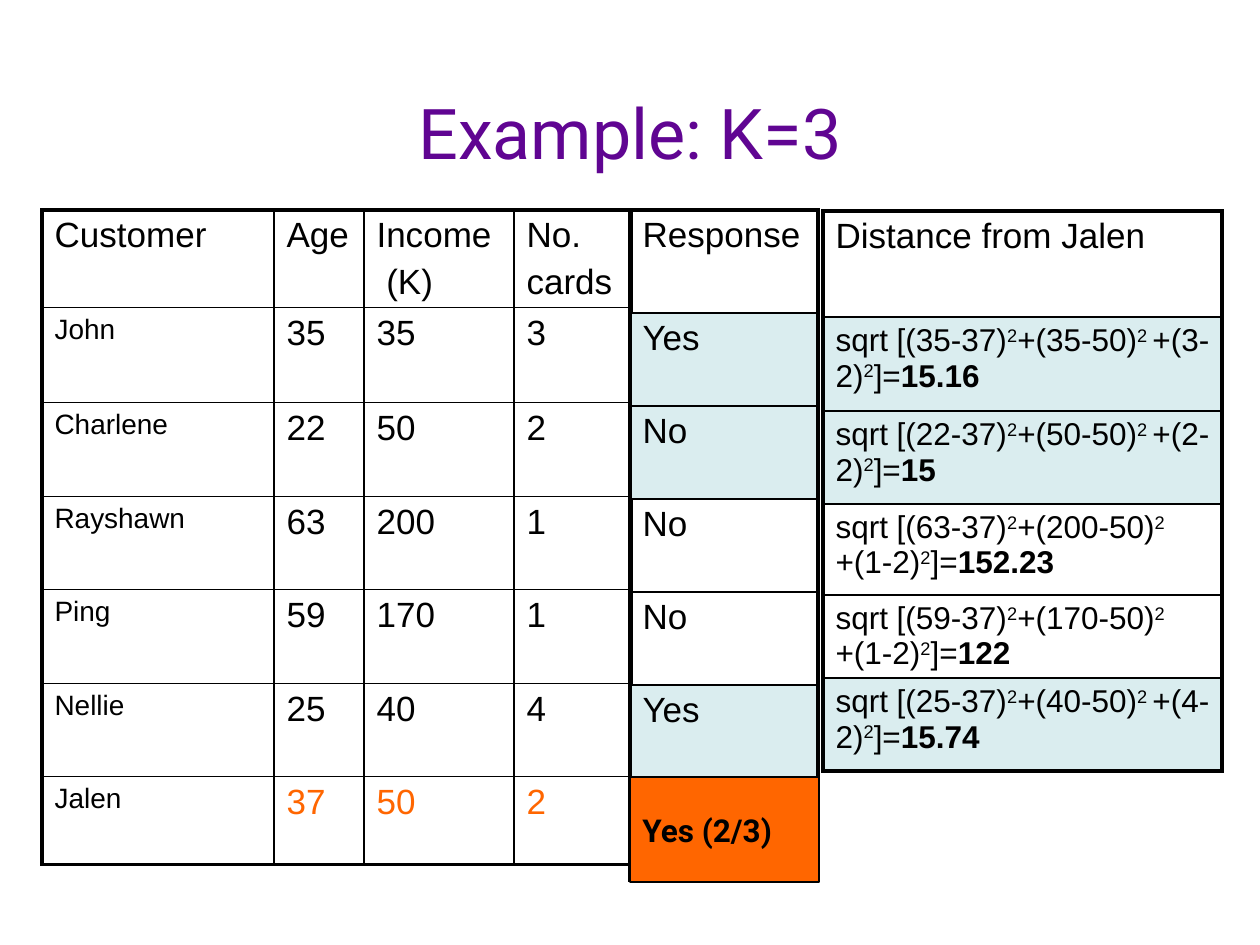
from pptx import Presentation
from pptx.dml.color import RGBColor
from pptx.enum.shapes import MSO_SHAPE as Shape
from pptx.enum.text import MSO_ANCHOR as Anchor, PP_ALIGN as Align
from pptx.oxml import parse_xml
from pptx.oxml.ns import nsdecls
from pptx.util import Emu, Pt

PX = 914400 // 126
BLACK = RGBColor(0x00, 0x00, 0x00)
PURPLE = RGBColor(0x60, 0x05, 0x92)
ORANGE = RGBColor(0xFF, 0x66, 0x00)
PALE_BLUE = RGBColor(0xDA, 0xED, 0xEF)
OUTER, INNER = 2.25, 1


def px(*lengths):
    return [Emu(n * PX) for n in lengths]


class SlideBuilder:
    """Holds the text style and the slide being filled."""

    def __init__(self, slide, font="Arial", heading_font="Roboto"):
        self.slide = slide
        self.font = font
        self.heading_font = heading_font

    def run(self, paragraph, text, size, color=BLACK, font=None, bold=False, raised=False):
        run = paragraph.add_run()
        run.text = text
        run.font.name = font or self.font
        run.font.size = Pt(size)
        run.font.bold = bold
        run.font.color.rgb = color
        if raised:
            run.font._element.set("baseline", "30000")

    def title(self, text, box):
        frame = self.slide.shapes.add_textbox(*px(*box)).text_frame
        frame.word_wrap = True
        frame.vertical_anchor = Anchor.MIDDLE
        frame.paragraphs[0].alignment = Align.CENTER
        self.run(frame.paragraphs[0], text, 40, PURPLE, self.heading_font)

    def label(self, text, box):
        shape = self.slide.shapes.add_shape(Shape.RECTANGLE, *px(*box))
        shape.shadow.inherit = False
        shape.fill.solid()
        shape.fill.fore_color.rgb = ORANGE
        shape.line.color.rgb = BLACK
        shape.line.width = Pt(0.75)
        frame = shape.text_frame
        frame.word_wrap = True
        frame.vertical_anchor = Anchor.MIDDLE
        frame.paragraphs[0].alignment = Align.LEFT
        self.run(frame.paragraphs[0], text, 18, BLACK, self.heading_font, bold=True)

    def borders(self, cell, **widths):
        properties = cell._tc.get_or_add_tcPr()
        for side in "LRTB":
            properties.append(parse_xml(
                f'<a:ln{side} {nsdecls("a")} w="{Pt(widths[side])}"><a:solidFill>'
                f'<a:srgbClr val="{BLACK}"/></a:solidFill></a:ln{side}>'))

    def table(self, left, top, widths, heights, rows, shaded=()):
        """Each cell is a list of paragraphs, each paragraph a list of run settings."""
        last_row, last_col = len(heights) - 1, len(widths) - 1
        table = self.slide.shapes.add_table(
            len(heights), len(widths), *px(left, top, sum(widths), sum(heights))).table
        table.first_row = table.horz_banding = False
        for column, width in zip(table.columns, px(*widths)):
            column.width = width
        for row, height in zip(table.rows, px(*heights)):
            row.height = height
        for r, row in enumerate(rows):
            for c, paragraphs in enumerate(row):
                cell = table.cell(r, c)
                self.borders(cell,
                             L=INNER if c else OUTER, R=OUTER if c == last_col else INNER,
                             T=INNER if r else OUTER, B=OUTER if r == last_row else INNER)
                if r in shaded:
                    cell.fill.solid()
                    cell.fill.fore_color.rgb = PALE_BLUE
                else:
                    cell.fill.background()
                frame = cell.text_frame
                for i, runs in enumerate(paragraphs):
                    paragraph = frame.add_paragraph() if i else frame.paragraphs[0]
                    if i:
                        paragraph.space_before = Pt(4)
                    for settings in runs:
                        self.run(paragraph, **settings)


def plain(*lines, size=20, color=BLACK):
    return [[dict(text=line, size=size, color=color)] for line in lines]


def distance_formula(customer, target, result):
    age, income, cards = (f"({a}-{b})" for a, b in zip(customer, target))
    parts = [(f"sqrt [{age}", {}), ("2", {"raised": True}),
             (f"+{income}", {}), ("2 ", {"raised": True}),
             (f"+{cards}", {}), ("2", {"raised": True}),
             ("]=", {}), (result, {"bold": True})]
    return [[dict(text=text, size=18, **style) for text, style in parts]]


# Customer data: name, (age, income, cards), response, distance
CUSTOMERS = [
    ("John", (35, 35, 3), "Yes", "15.16"),
    ("Charlene", (22, 50, 2), "No", "15"),
    ("Rayshawn", (63, 200, 1), "No", "152.23"),
    ("Ping", (59, 170, 1), "No", "122"),
    ("Nellie", (25, 40, 4), "Yes", "15.74"),
]
JALEN = (37, 50, 2)
NEAREST = (1, 2, 5)


def customer_row(name, values, color=BLACK):
    return [plain(name, size=16)] + [plain(str(v), color=color) for v in values]


def main():
    deck = Presentation()
    deck.slide_width, deck.slide_height = px(1260, 945)
    builder = SlideBuilder(deck.slides.add_slide(deck.slide_layouts[6]))

    # Customer attributes
    header = [plain("Customer"), plain("Age"), plain("Income", " (K)"), plain("No.", "cards")]
    attributes = [customer_row(name, values) for name, values, _, _ in CUSTOMERS]
    builder.table(42, 210, [232, 90, 150, 117], [93, 95, 94, 93, 94, 93, 88],
                  [header, *attributes, customer_row("Jalen", JALEN, ORANGE)])

    # Responses, with the predicted one over the last cell
    responses = [[plain(response)] for _, _, response, _ in CUSTOMERS]
    builder.table(630, 210, [188], [103] + [93] * 5 + [103],
                  [[plain("Response")], *responses, [[]]], NEAREST)
    builder.label("Yes (2/3)", (630, 777, 189, 105))

    # Distances to Jalen
    distances = [[distance_formula(values, JALEN, result)] for _, values, _, result in CUSTOMERS]
    builder.table(823, 211, [399], [106, 94, 93, 91, 83, 93],
                  [[plain("Distance from Jalen")], *distances], NEAREST)

    builder.title("Example: K=3", (63, 53, 1134, 157))
    deck.save("out.pptx")


if __name__ == "__main__":
    main()
